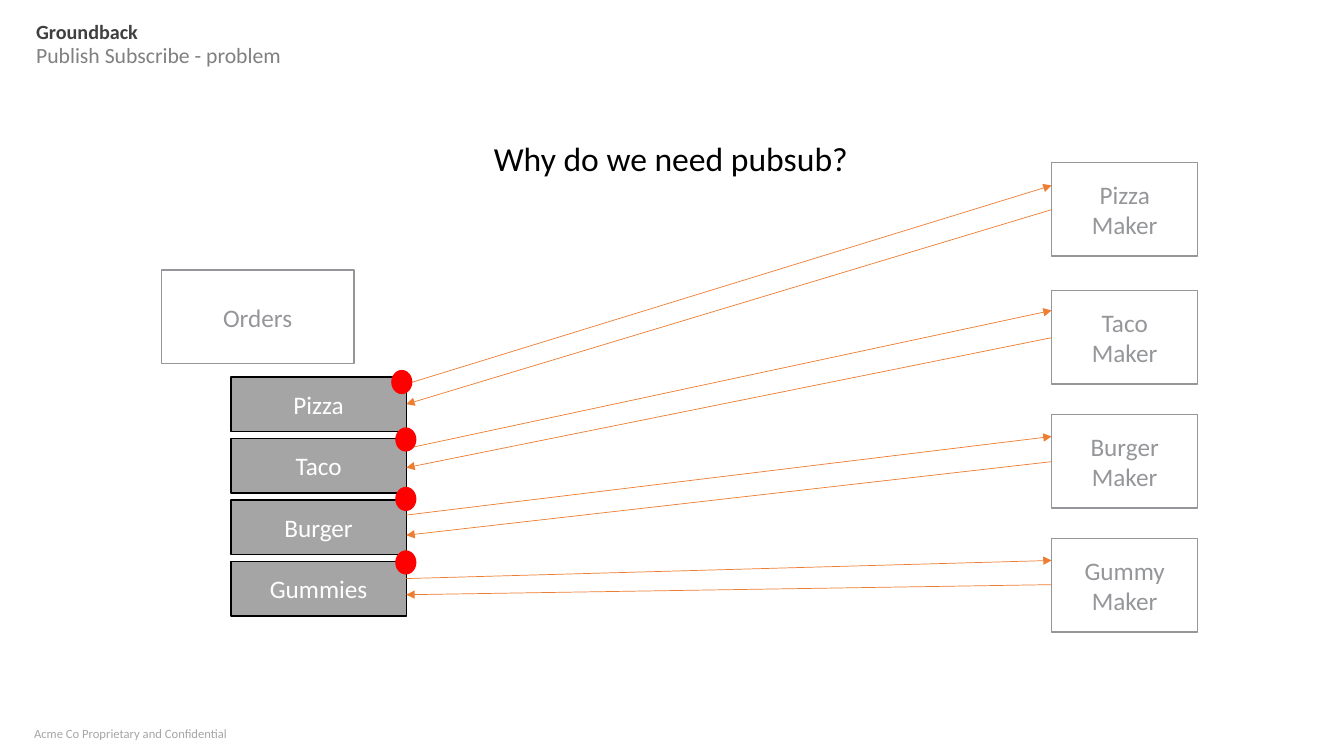
from lxml import etree
from pptx import Presentation
from pptx.dml.color import RGBColor
from pptx.enum import shapes, text
from pptx.oxml import ns
from pptx.util import Inches, Pt

COLORS = {
    "white": "FFFFFF", "black": "000000", "title": "404040",
    "subtitle": "808080", "footer": "A6A6A6", "queue": "A5A5A5",
    "outline": "959699", "arrow": "ED7D31", "alert": "FF0000",
}
FONT = "Calibri"
QUEUE_LEFT, QUEUE_TOP, QUEUE_STEP = 2.29, 3.74, 0.61
QUEUE_WIDTH, QUEUE_HEIGHT = 1.74, 0.54
QUEUE_RIGHT = QUEUE_LEFT + QUEUE_WIDTH
MAKER_LEFT = 10.43

# Queue label, maker name, maker top, alert dot (left, top),
# request arrow (start y, end y), reply arrow (start y, end y)
ORDERS = [
    ("Pizza", "Pizza", 1.61, (3.88, 3.67), (3.81, 1.84), (2.08, 4.01)),
    ("Taco", "Taco", 2.88, (3.92, 4.24), (4.45, 3.08), (3.35, 4.64)),
    ("Burger", "Burger", 4.11, (3.92, 4.83), (5.11, 4.33), (4.58, 5.31)),
    ("Gummies", "Gummy", 5.34, (3.92, 5.46), (5.74, 5.56), (5.8, 5.9)),
]


def color(name):
    return RGBColor.from_string(COLORS[name])


def style(para, size, font_color, bold=False):
    para.font.name = FONT
    para.font.size = Pt(size)
    para.font.bold = bold
    para.font.color.rgb = color(font_color)


def add_text(page, words, area, size, font_color, bold=False,
             anchor=text.MSO_ANCHOR.TOP, spacing=None):
    box = page.shapes.add_textbox(*map(Inches, area))
    frame = box.text_frame
    frame.word_wrap = True
    frame.vertical_anchor = anchor
    para = frame.paragraphs[0]
    para.text = words
    para.line_spacing = spacing
    style(para, size, font_color, bold)


def add_filled(page, kind, area, fill):
    shape = page.shapes.add_shape(kind, *map(Inches, area))
    shape.shadow.inherit = False
    shape.fill.solid()
    shape.fill.fore_color.rgb = color(fill)
    return shape


def add_box(page, lines, area, fill, line, font_color):
    box = add_filled(page, shapes.MSO_SHAPE.RECTANGLE, area, fill)
    box.line.color.rgb = color(line)
    box.line.width = Pt(1)
    frame = box.text_frame
    frame.word_wrap = True
    frame.vertical_anchor = text.MSO_ANCHOR.MIDDLE
    frame.text = "\n".join(lines)
    for para in frame.paragraphs:
        para.alignment = text.PP_ALIGN.CENTER
        style(para, 18, font_color)


def add_arrow(page, start, end):
    arrow = page.shapes.add_connector(
        shapes.MSO_CONNECTOR.STRAIGHT, *map(Inches, start + end))
    arrow.line.color.rgb = color("arrow")
    arrow.line.width = Pt(0.5)
    line = arrow.line._get_or_add_ln()
    etree.SubElement(line, ns.qn("a:tailEnd"), type="triangle")
    etree.SubElement(arrow._element.spPr, ns.qn("a:effectLst"))


def add_dot(page, position):
    dot = add_filled(page, shapes.MSO_SHAPE.OVAL, position + (0.21, 0.24), "alert")
    dot.line.fill.background()


def main():
    deck = Presentation()
    deck.slide_width, deck.slide_height = Inches(13.33), Inches(7.5)
    page = deck.slides.add_slide(deck.slide_layouts[6])

    # Headings and footer
    add_text(page, "Acme Co Proprietary and Confidential", (0.24, 7.15, 3, 0.35),
             9, "footer")
    add_text(page, "Groundback", (0.26, 0.22, 12.16, 0.21), 14.4, "title",
             bold=True, anchor=text.MSO_ANCHOR.MIDDLE, spacing=0.9)
    add_text(page, "Publish Subscribe - problem", (0.26, 0.44, 12.16, 0.3),
             15.5, "subtitle", spacing=0.7)
    add_text(page, "Why do we need pubsub?", (4.8, 1.32, 4.13, 0.5), 24, "black")

    # Order queues and their makers
    add_box(page, ["Orders"], (1.6, 2.68, 1.91, 0.93), "white", "outline", "outline")
    for index, (queue, maker, maker_top, *_) in enumerate(ORDERS):
        queue_top = QUEUE_TOP + index * QUEUE_STEP
        add_box(page, [queue], (QUEUE_LEFT, queue_top, QUEUE_WIDTH, QUEUE_HEIGHT),
                "queue", "black", "white")
        add_box(page, [maker, "Maker"], (MAKER_LEFT, maker_top, 1.45, 0.93),
                "white", "outline", "outline")

    # Requests, replies and alert dots
    for *_, dot, request, reply in ORDERS:
        add_arrow(page, (QUEUE_RIGHT, request[0]), (MAKER_LEFT, request[1]))
        add_arrow(page, (MAKER_LEFT, reply[0]), (QUEUE_RIGHT, reply[1]))
        add_dot(page, dot)

    deck.save("out.pptx")


if __name__ == "__main__":
    main()
